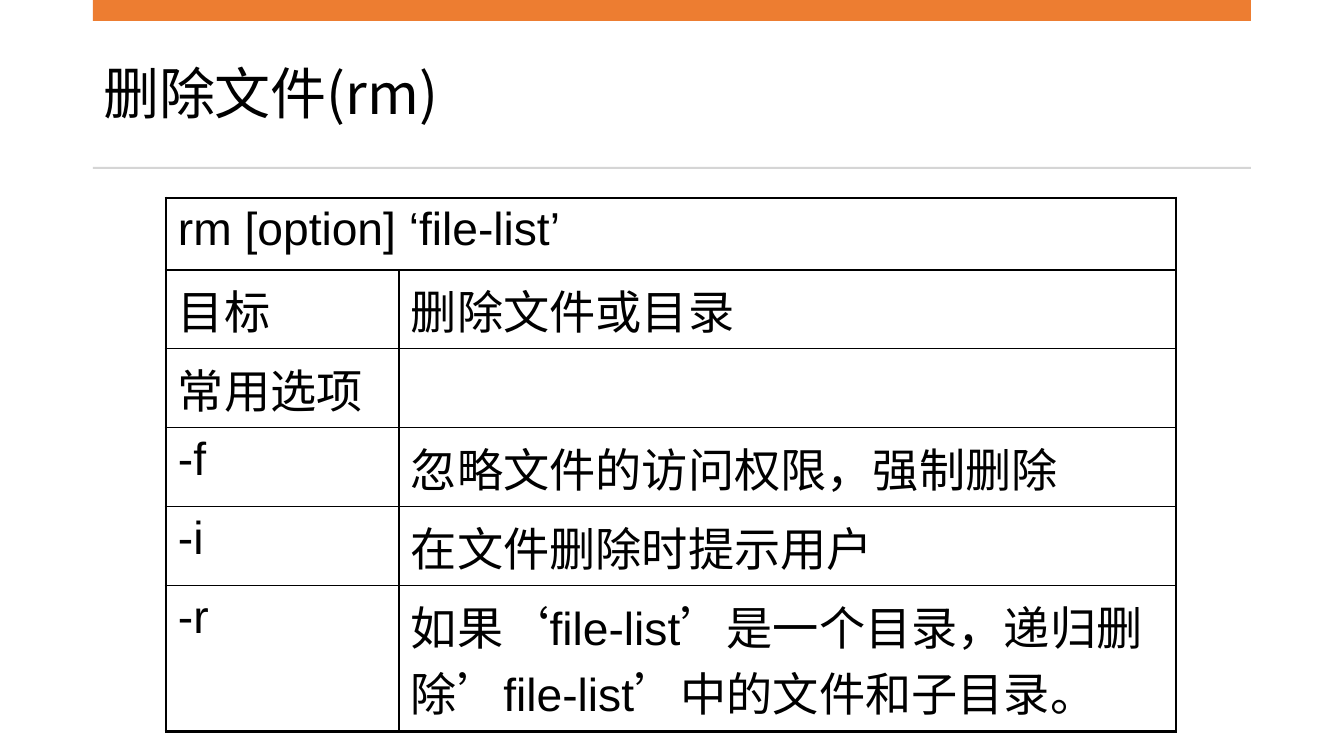
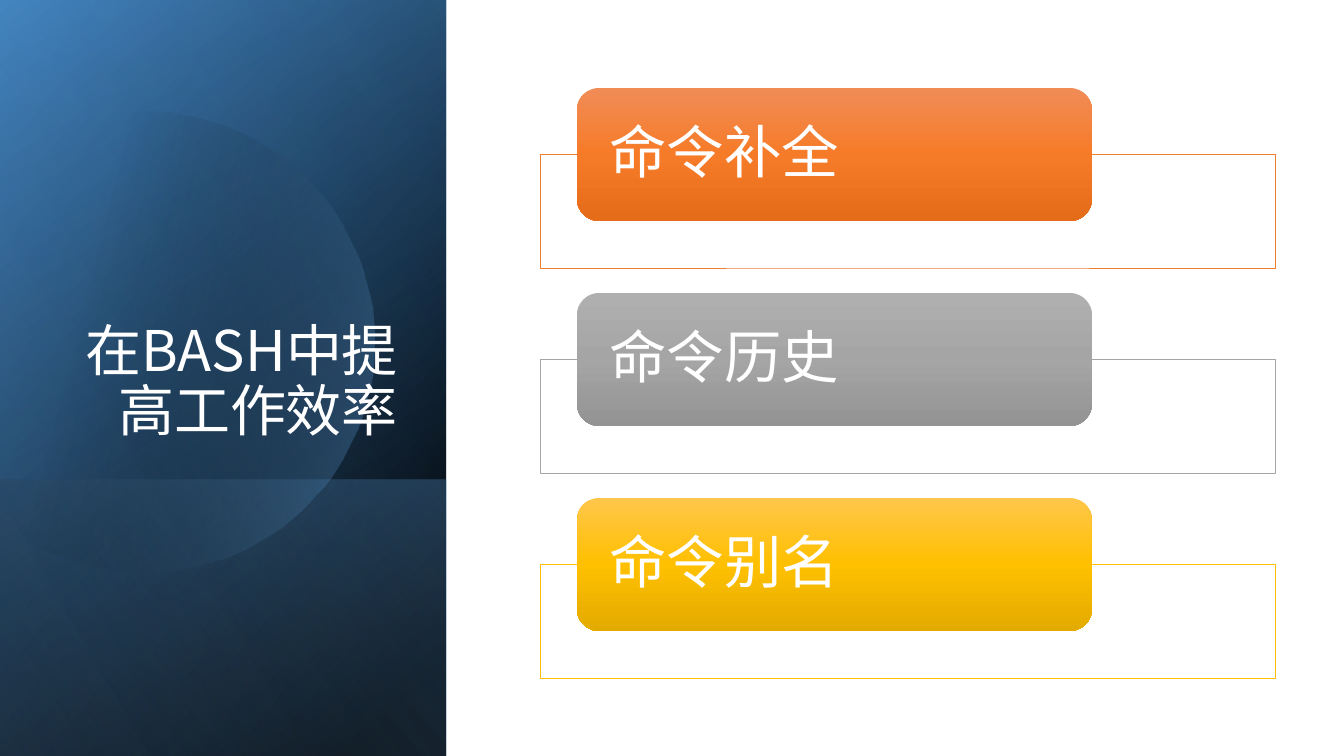
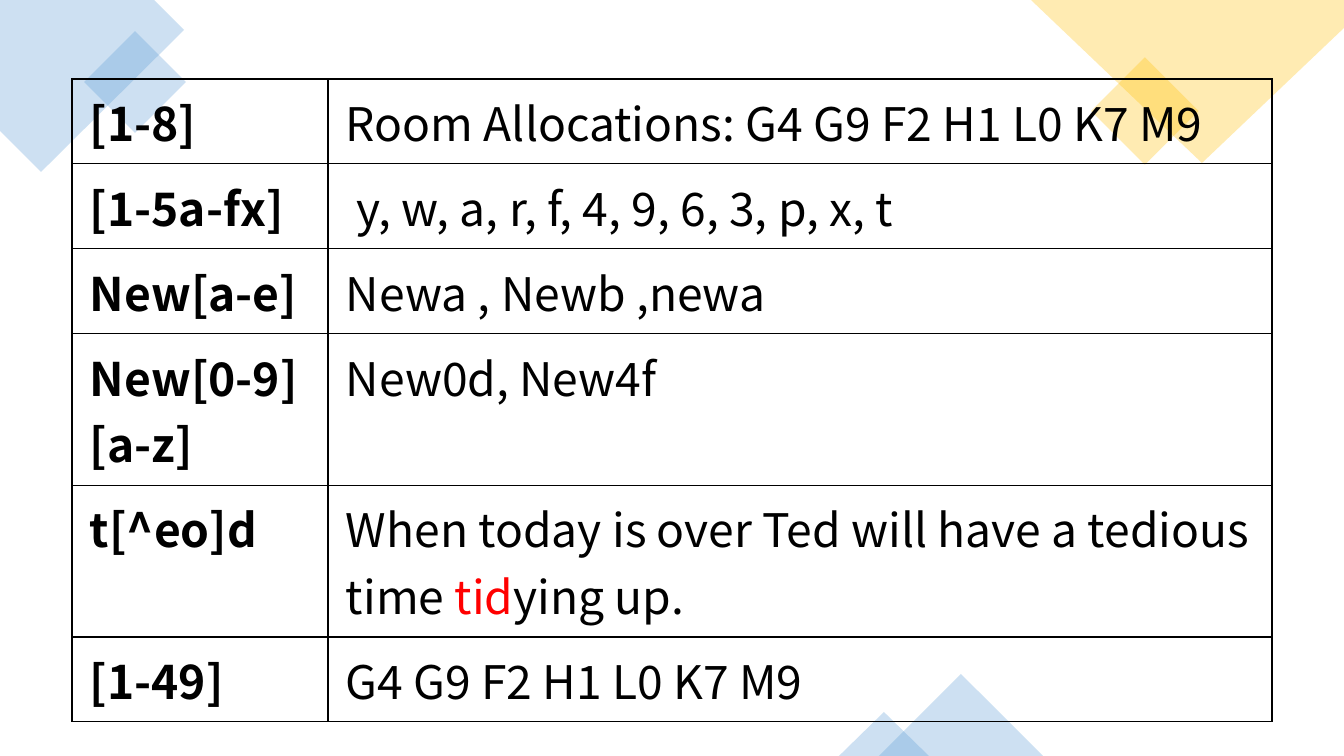
from dataclasses import dataclass
from math import acos, cos, sin

from lxml.etree import SubElement
from pptx import Presentation
from pptx.dml.color import RGBColor
from pptx.enum.shapes import MSO_SHAPE as Shape
from pptx.enum.text import MSO_ANCHOR as Anchor, MSO_AUTO_SIZE as Fit, PP_ALIGN as Align
from pptx.oxml import parse_xml
from pptx.oxml.ns import nsdecls, qn
from pptx.util import Pt

SCALE = 12192000 / 1344
WIDE, HIGH = 1344, 756
SANS, LATIN = "Noto Sans CJK SC", "Arial"
BLACK, WHITE, RED = "000000", "FFFFFF", "FF0000"
ORANGE, GREY, GOLD, BLUE = "ED7D31", "A5A5A5", "FFC000", "5B9BD5"
RULE = "D5D5D5"


@dataclass
class Box:
    x: int
    y: int
    w: int
    h: int

    def emu(self) -> tuple:
        return px(self.x), px(self.y), px(self.w), px(self.h)


@dataclass
class Stop:
    pos: int
    tint: str
    alpha: int = 100


@dataclass
class Panel:
    box: Box
    angle: int
    stops: list


@dataclass
class Topic:
    text: str
    edge: str
    tints: tuple


@dataclass
class Grid:
    box: Box
    cols: list
    rows: list
    cells: list
    face: str
    pad: tuple
    outer: float
    head: bool = False


def px(n: float) -> int:
    return round(n * SCALE)


def color(tint: str) -> RGBColor:
    return RGBColor.from_string(tint)


def style(para, size: int, tint: str, face: str = SANS, bold: bool = False) -> None:
    font = para.font
    font.size, font.name, font.bold = Pt(size), face, bold
    font.color.rgb = color(tint)
    SubElement(para._p.pPr.find(qn("a:defRPr")), qn("a:ea"), typeface=SANS)


def plain(shape) -> None:
    shape.shadow.inherit = False
    shape.line.fill.background()


def solid(shape, tint: str, alpha: int = 100) -> None:
    plain(shape)
    shape.fill.solid()
    shape.fill.fore_color.rgb = color(tint)
    if alpha < 100:
        mark = shape._element.spPr.find(qn("a:solidFill"))[0]
        SubElement(mark, qn("a:alpha"), val=str(alpha * 1000))


def blend(shape, stops: list, angle: int) -> None:
    solid(shape, WHITE)
    marks = "".join(
        f'<a:gs pos="{s.pos * 1000}"><a:srgbClr val="{s.tint}">'
        f'<a:alpha val="{s.alpha * 1000}"/></a:srgbClr></a:gs>'
        for s in stops
    )
    fill = parse_xml(
        f'<a:gradFill {nsdecls("a")} rotWithShape="1"><a:gsLst>{marks}</a:gsLst>'
        f'<a:lin ang="{angle * 60000}" scaled="0"/></a:gradFill>'
    )
    props = shape._element.spPr
    props.replace(props.find(qn("a:solidFill")), fill)


def add(slide, kind, box: Box, turn: int = 0):
    shape = slide.shapes.add_shape(kind, *box.emu())
    shape.rotation = turn
    return shape


def outline(slide, points: list):
    path = slide.shapes.build_freeform(*points[0], scale=SCALE)
    path.add_line_segments(points[1:], close=True)
    return path.convert_to_shape()


def title(slide, text: str, box: Box, tint: str, align, anchor) -> None:
    head = slide.shapes.title
    head.left, head.top, head.width, head.height = box.emu()
    frame = head.text_frame
    frame.text = text
    frame.auto_size, frame.word_wrap = Fit.NONE, True
    frame.vertical_anchor = anchor
    para = frame.paragraphs[0]
    para.alignment, para.line_spacing = align, 0.9
    style(para, 40, tint)


def border(cell, widths: tuple) -> None:
    props = cell._tc.get_or_add_tcPr()
    for i, (side, width) in enumerate(zip("LRTB", widths)):
        props.insert(i, parse_xml(
            f'<a:ln{side} {nsdecls("a")} w="{Pt(width)}"><a:solidFill>'
            f'<a:srgbClr val="{BLACK}"/></a:solidFill></a:ln{side}>'
        ))


def write(cell, parts, grid: Grid, bold: bool) -> None:
    para = cell.text_frame.paragraphs[0]
    style(para, 33, BLACK, grid.face, bold)
    if isinstance(parts, str):
        parts = [(parts, BLACK)]
    for text, tint in parts:
        if text:
            run = para.add_run()
            run.text = text
            if tint != BLACK:
                run.font.color.rgb = color(tint)


def table(slide, grid: Grid) -> None:
    high, wide = len(grid.rows), len(grid.cols)
    tab = slide.shapes.add_table(high, wide, *grid.box.emu()).table
    tab.first_row = tab.horz_banding = False
    for col, size in zip(tab.columns, grid.cols):
        col.width = px(size)
    for row, size in zip(tab.rows, grid.rows):
        row.height = px(size)
    if grid.head:
        tab.cell(0, 0).merge(tab.cell(0, wide - 1))
    for r, line in enumerate(grid.cells):
        for c, text in enumerate(line):
            cell = tab.cell(r, c)
            cell.fill.background()
            cell.margin_left = cell.margin_right = px(grid.pad[0])
            cell.margin_top = cell.margin_bottom = px(grid.pad[1])
            edges = (c == 0, c == wide - 1, r == 0, r == high - 1)
            border(cell, tuple(grid.outer if e else 1 for e in edges))
            write(cell, text, grid, not grid.head and c == 0)


def remove(deck) -> None:
    slide = deck.slides.add_slide(deck.slide_layouts[5])
    title(slide, "删除文件(rm)", Box(93, 37, 1158, 119), BLACK, Align.LEFT, Anchor.MIDDLE)
    solid(add(slide, Shape.RECTANGLE, Box(93, 0, 1158, 21)), ORANGE)
    solid(add(slide, Shape.RECTANGLE, Box(93, 167, 1158, 2)), RULE)
    table(slide, Grid(
        Box(166, 198, 1010, 488), [233, 777], [72] * 5 + [127],
        [
            ("rm [option] ‘file-list’", ""),
            ("目标", "删除文件或目录"),
            ("常用选项", ""),
            ("-f", "忽略文件的访问权限，强制删除"),
            ("-i", "在文件删除时提示用户"),
            ("-r", "如果‘file-list’是一个目录，递归删除’file-list’中的文件和子目录。"),
        ],
        LATIN, (12, 6), 2.25, True,
    ))


def panel(slide, item: Panel) -> None:
    shape = add(slide, Shape.RECTANGLE, item.box, 90)
    shape._element.spPr.find(qn("a:xfrm")).set("flipH", "1")
    blend(shape, item.stops, item.angle)


def disc(slide) -> None:
    x, y, radius, left, steps = 144, 342, 230, -15, 96
    end = acos((left - x) / radius)
    turns = [end * (2 * i / steps - 1) for i in range(steps + 1)]
    points = [(round(x + radius * cos(t)), round(y + radius * sin(t))) for t in turns]
    blend(outline(slide, points), [Stop(29, BLACK, 0), Stop(100, BLUE, 43)], 14)


def topic(slide, item: Topic, top: int) -> None:
    frame = add(slide, Shape.RECTANGLE, Box(540, top + 66, 735, 114))
    solid(frame, WHITE, 90)
    frame.line.color.rgb = color(item.edge)
    frame.line.width = Pt(0.5)
    pill = add(slide, Shape.ROUNDED_RECTANGLE, Box(577, top, 515, 133))
    blend(pill, [Stop(50 * i, tint) for i, tint in enumerate(item.tints)], 90)
    body = pill.text_frame
    body.text, body.word_wrap = item.text, True
    body.vertical_anchor = Anchor.MIDDLE
    body.margin_left = body.margin_right = px(26)
    body.margin_top = body.margin_bottom = 0
    para = body.paragraphs[0]
    para.alignment, para.line_spacing = Align.LEFT, 0.9
    style(para, 41, WHITE)


def bash(deck) -> None:
    slide = deck.slides.add_slide(deck.slide_layouts[5])
    side = Box(-155, 155, 756, 446)
    for item in (
        Panel(side, 50, [Stop(8, BLACK), Stop(100, "2E75B6")]),
        Panel(side, 30, [Stop(0, BLACK, 0), Stop(99, BLUE, 46)]),
        Panel(Box(85, 395, 276, 446), 130, [Stop(2, BLUE, 29), Stop(100, BLACK, 30)]),
    ):
        panel(slide, item)
    disc(slide)
    panel(slide, Panel(side, 120, [Stop(0, BLACK, 0), Stop(99, "9DC3E6", 11)]))
    title(slide, "在BASH中提高工作效率", Box(64, 185, 344, 264), WHITE, Align.RIGHT, Anchor.BOTTOM)
    head = slide.shapes.title._element
    head.getparent().append(head)
    for i, item in enumerate((
        Topic("命令补全", ORANGE, ("F18C57", "F67B28", "E56C19")),
        Topic("命令历史", GREY, ("AFAFAF", GREY, "939393")),
        Topic("命令别名", GOLD, ("FFC64B", GOLD, "E3AB00")),
    )):
        topic(slide, item, 88 + 205 * i)


def ranges(deck) -> None:
    slide = deck.slides.add_slide(deck.slide_layouts[6])
    for points, tint in (
        ([(154, 0), (0, 0), (0, 131), (41, 172), (184, 30)], BLUE),
        ([(WIDE, 0), (1031, 0), (1202, 163), (WIDE, 28)], GOLD),
    ):
        solid(outline(slide, points), tint, 30)
    for kind, box, turn, tint in (
        (Shape.RECTANGLE, Box(99, 46, 72, 72), 315, BLUE),
        (Shape.RECTANGLE, Box(1107, 73, 76, 76), 315, GOLD),
        (Shape.ISOSCELES_TRIANGLE, Box(879, 674, 164, 82), 0, BLUE),
        (Shape.ISOSCELES_TRIANGLE, Box(839, 712, 90, 44), 0, BLUE),
    ):
        solid(add(slide, kind, box, turn), tint, 30)
    tidy = [
        ("When today is over Ted will have a tedious time ", BLACK),
        ("tid", RED),
        ("ying up.", BLACK),
    ]
    table(slide, Grid(
        Box(72, 79, 1200, 599), [256, 944], [82, 82, 82, 137, 137, 82],
        [
            ("[1-8]", "Room Allocations: G4 G9 F2 H1 L0 K7 M9"),
            ("[1-5a-fx]", " y, w, a, r, f, 4, 9, 6, 3, p, x, t"),
            ("New[a-e]", "Newa , Newb ,newa"),
            ("New[0-9][a-z]", "New0d, New4f"),
            ("t[^eo]d", tidy),
            ("[1-49]", "G4 G9 F2 H1 L0 K7 M9"),
        ],
        SANS, (18, 9), 1,
    ))


def main() -> None:
    deck = Presentation()
    deck.slide_width, deck.slide_height = px(WIDE), px(HIGH)
    for build in (remove, bash, ranges):
        build(deck)
    deck.save("out.pptx")


if __name__ == "__main__":
    main()
